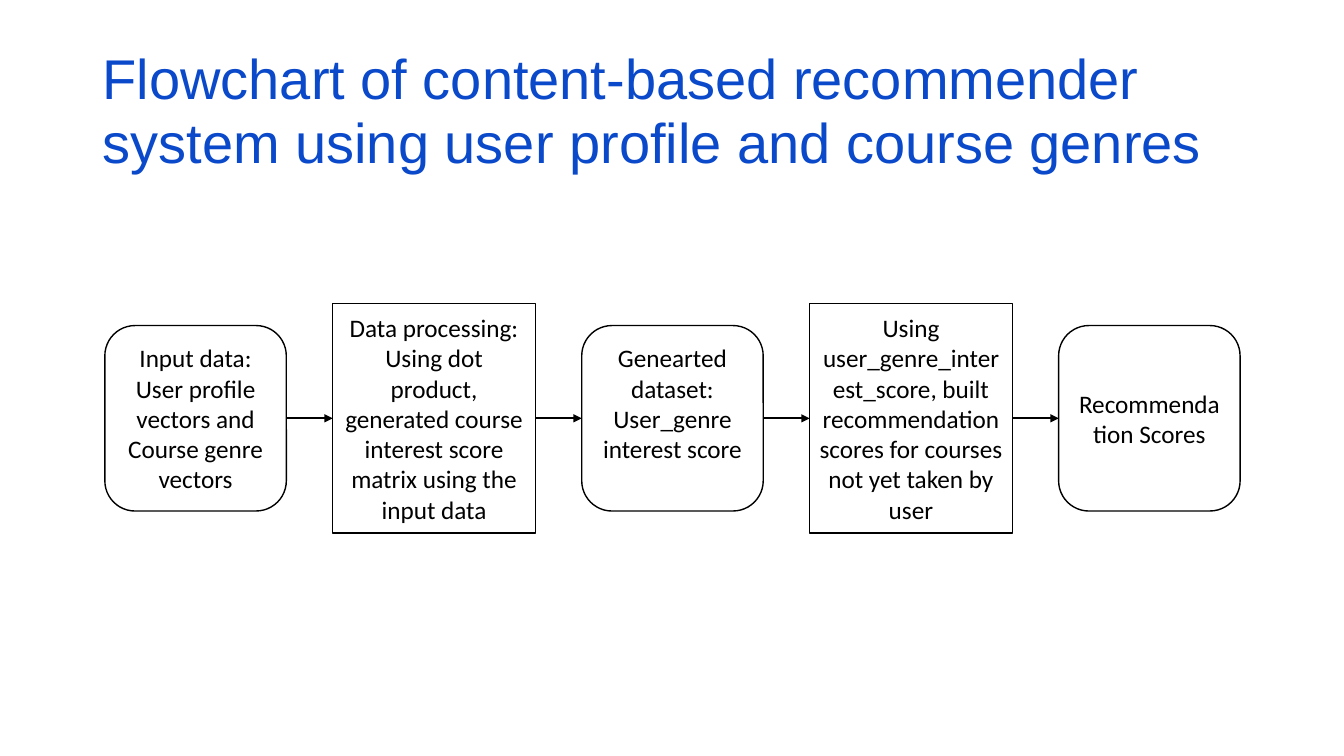
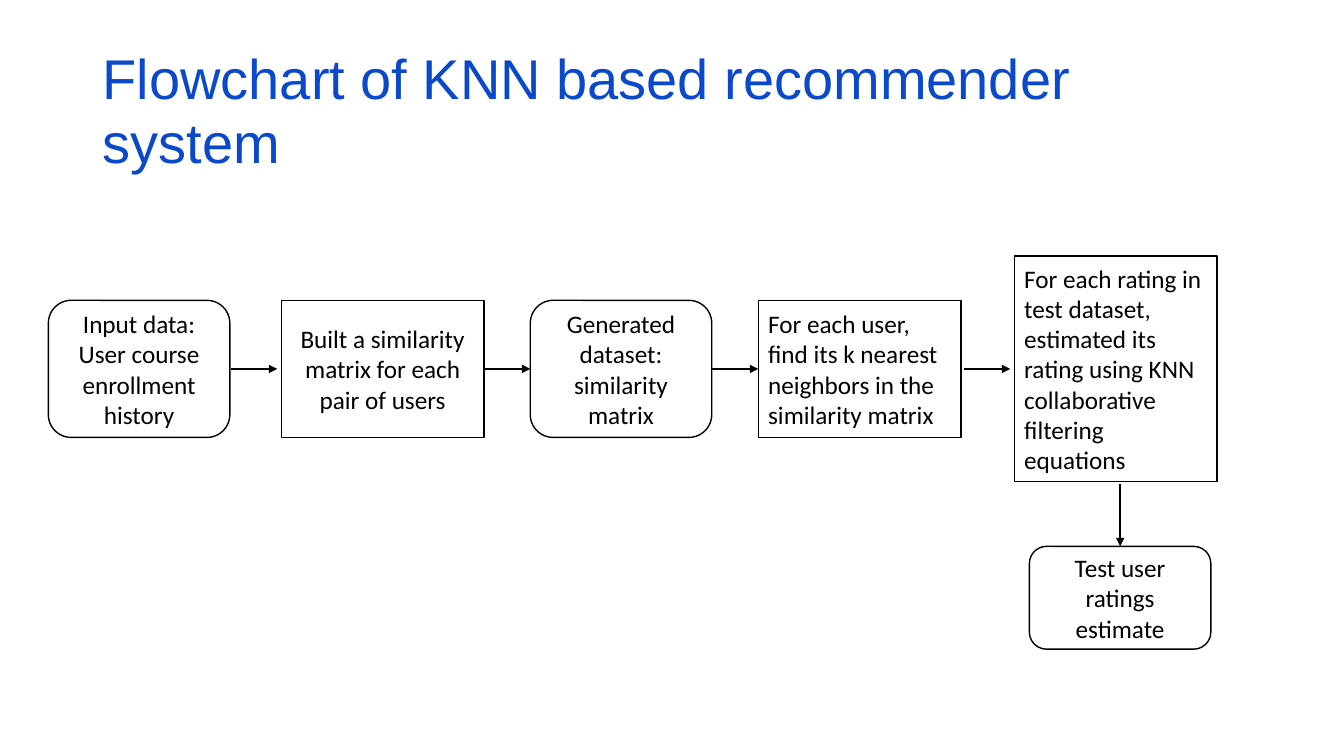
"""Build two flowchart slides about course recommender systems."""
from dataclasses import dataclass

from lxml import etree
from pptx import Presentation
from pptx.dml.color import RGBColor
from pptx.enum.shapes import MSO_CONNECTOR, MSO_SHAPE
from pptx.enum.text import MSO_ANCHOR, PP_ALIGN
from pptx.oxml.ns import qn
from pptx.util import Emu, Pt

RECT, ROUND = MSO_SHAPE.RECTANGLE, MSO_SHAPE.ROUNDED_RECTANGLE
STRAIGHT = MSO_CONNECTOR.STRAIGHT
MID, TOP = MSO_ANCHOR.MIDDLE, MSO_ANCHOR.TOP
LEFT, CENTER = PP_ALIGN.LEFT, PP_ALIGN.CENTER
SCALE = 9144
BLUE, BLACK, WHITE = "0B49CB", "000000", "FFFFFF"
WIDTH = {RECT: 201, ROUND: 180}
GAP = 46
STEP = WIDTH[ROUND] + GAP
PAIR = STEP + WIDTH[RECT] + GAP
START = 104


@dataclass
class Node:
    """A flowchart box, placed by its left edge and vertical middle."""
    text: str
    kind: MSO_SHAPE
    x: int
    mid: int
    high: int
    align: PP_ALIGN = CENTER
    lift: int = 0

    @property
    def wide(self) -> int:
        """Return the width shared by boxes of this kind."""
        return WIDTH[self.kind]


@dataclass
class Link:
    """An arrow between two boxes, with the space left free at each end."""
    start: int
    end: int
    before: int = 0
    after: int = 0
    down: bool = False


@dataclass
class Chart:
    """A titled slide with boxes and arrows."""
    title: str
    nodes: list[Node]
    links: list[Link]


CHARTS = [
    Chart(
        "Flowchart of content-based recommender system using user profile and course genres",
        [
            Node("Input data:\nUser profile vectors and\nCourse genre vectors",
                 ROUND, START, 415, 184),
            Node("Data processing:\nUsing dot product, generated course interest score "
                 "matrix using the input data", RECT, START + STEP, 415, 228),
            Node("Genearted dataset:\nUser_genre interest score",
                 ROUND, START + PAIR, 415, 184, lift=30),
            Node("Using user_genre_interest_score, built recommendation scores for "
                 "courses not yet taken by user", RECT, START + PAIR + STEP, 415, 228),
            Node("Recommendation Scores", ROUND, START + 2 * PAIR, 415, 184),
        ],
        [Link(i, i + 1) for i in range(4)],
    ),
    Chart(
        "Flowchart of KNN based recommender system",
        [
            Node("Input data:\nUser course enrollment history", ROUND, 48, 366, 136),
            Node("Built a similarity matrix for each pair of users", RECT, 279, 366, 136),
            Node("Generated dataset: similarity matrix", ROUND, 526, 366, 136),
            Node("For each user, find its k nearest neighbors in the similarity matrix",
                 RECT, 752, 366, 136, LEFT),
            Node("For each rating in test dataset, estimated its rating using KNN "
                 "collaborative filtering equations", RECT, 1006, 366, 224, LEFT),
            Node("Test user ratings estimate", ROUND, 1021, 593, 102),
        ],
        [Link(0, 1, 1, 4), Link(1, 2), Link(2, 3), Link(3, 4, 3, 4),
         Link(4, 5, 2, down=True)],
    ),
]


def px(size: int) -> Emu:
    """Turn px into EMU."""
    return Emu(size * SCALE)


def paint(code: str) -> RGBColor:
    """Turn a hex string into a colour."""
    return RGBColor.from_string(code)


def style(frame, font: str, size: int, code: str, align: PP_ALIGN) -> None:
    """Set the font and alignment of every paragraph in a frame."""
    frame.word_wrap = True
    for para in frame.paragraphs:
        para.alignment = align
        for run in para.runs:
            run.font.name = font
            run.font.size = Pt(size)
            run.font.color.rgb = paint(code)


def add_title(slide, text: str) -> None:
    """Draw the slide title."""
    frame = slide.shapes.add_textbox(px(92), px(40), px(1150), px(145)).text_frame
    frame.text = text
    frame.vertical_anchor = TOP
    frame.margin_top = px(8)
    style(frame, "Arial", 40, BLUE, LEFT)
    frame.paragraphs[0].line_spacing = 0.95


def add_node(slide, node: Node):
    """Draw a box and return its shape."""
    shape = slide.shapes.add_shape(node.kind, px(node.x), px(node.mid - node.high // 2),
                                   px(node.wide), px(node.high))
    shape.shadow.inherit = False
    if node.kind == RECT:
        shape.fill.solid()
        shape.fill.fore_color.rgb = paint(WHITE)
    else:
        shape.fill.background()
    shape.line.color.rgb = paint(BLACK)
    shape.line.width = Pt(1)
    frame = shape.text_frame
    frame.text = node.text
    frame.vertical_anchor = MID
    frame.margin_bottom = px(5 + node.lift)
    style(frame, "Calibri", 18, BLACK, node.align)
    return shape


def add_link(slide, link: Link, nodes: list[Node], shapes: list) -> None:
    """Draw an arrow, joined to each box that it touches."""
    one, two = nodes[link.start], nodes[link.end]
    if link.down:
        x = two.x + two.wide // 2
        ends = (x, one.mid + one.high // 2 + link.before,
                x, two.mid - two.high // 2 - link.after)
        sides = 2, 0
    else:
        ends = (one.x + one.wide + link.before, one.mid, two.x - link.after, two.mid)
        sides = 3, 1
    line = slide.shapes.add_connector(STRAIGHT, *map(px, ends))
    if not link.before:
        line.begin_connect(shapes[link.start], sides[0])
    if not link.after:
        line.end_connect(shapes[link.end], sides[1])
    line.line.color.rgb = paint(BLACK)
    line.line.width = Pt(1.25)
    etree.SubElement(line.line._get_or_add_ln(), qn("a:tailEnd"), type="triangle")
    etree.SubElement(line._element.spPr, qn("a:effectLst"))


def main() -> None:
    """Build and save the deck."""
    deck = Presentation()
    deck.slide_width, deck.slide_height = px(1333), px(750)
    for chart in CHARTS:
        slide = deck.slides.add_slide(deck.slide_layouts[6])
        add_title(slide, chart.title)
        shapes = [add_node(slide, node) for node in chart.nodes]
        for link in chart.links:
            add_link(slide, link, chart.nodes, shapes)
    deck.save("out.pptx")


if __name__ == "__main__":
    main()
